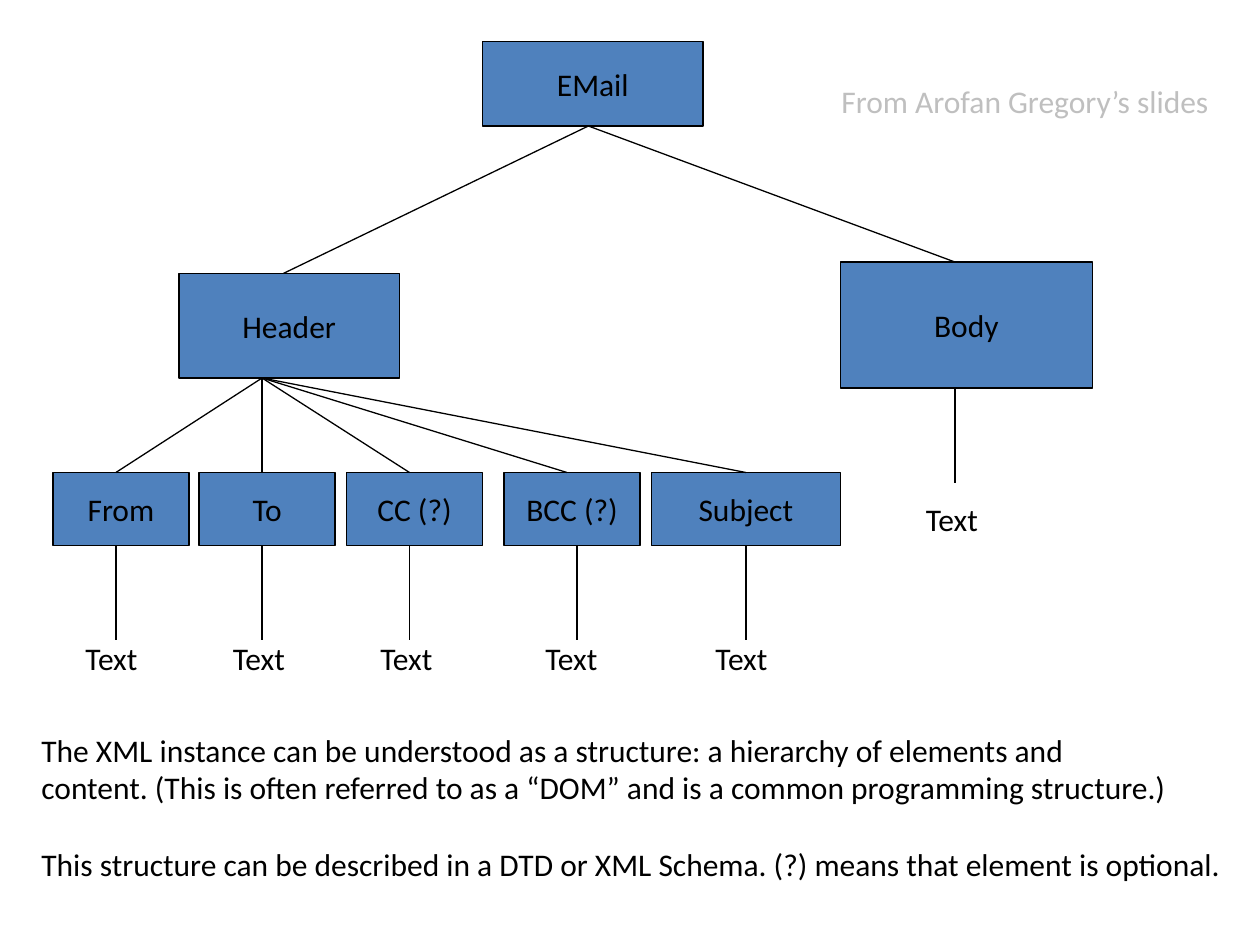
from dataclasses import dataclass

from pptx import Presentation
from pptx.dml.color import RGBColor
from pptx.enum.shapes import MSO_CONNECTOR, MSO_SHAPE
from pptx.enum.text import MSO_ANCHOR, PP_ALIGN
from pptx.oxml.ns import qn
from pptx.util import Inches, Pt
from lxml.etree import SubElement


@dataclass(frozen=True)
class Theme:
    """Colours, type and line sizes of the slide."""
    black: RGBColor = RGBColor(0, 0, 0)
    blue: RGBColor = RGBColor(0x4F, 0x81, 0xBD)
    grey: RGBColor = RGBColor(0xBF, 0xBF, 0xBF)
    font: str = "Calibri"
    text_size: Pt = Pt(18)
    line_width: Pt = Pt(0.75)


theme = Theme()


def write(box, lines, color=theme.black, align=PP_ALIGN.LEFT, wrap=False):
    """Fill a box with one paragraph per line and return its text frame."""
    frame = box.text_frame
    frame.word_wrap = wrap
    for index, line in enumerate(lines):
        para = frame.add_paragraph() if index else frame.paragraphs[0]
        para.alignment = align
        span = para.add_run()
        span.text = line
        span.font.name = theme.font
        span.font.size = theme.text_size
        span.font.color.rgb = color
    return frame


deck = Presentation()
deck.slide_width, deck.slide_height = Inches(10), Inches(7.5)
page = deck.slides.add_slide(deck.slide_layouts[6])

# Tree: element boxes (label, left, top, width, height)
leaf_top, leaf_height, branch_length = 3.75, 0.58, 0.75
leaf_bottom = leaf_top + leaf_height
elements = [
    ("EMail", 3.83, 0.33, 1.75, 0.67),
    ("Header", 1.42, 2.17, 1.75, 0.83),
    ("Body", 6.67, 2.08, 2, 1),
]
# Header children: label, left, width, incoming x, outgoing x, text left
leaves = [
    ("From", 0.42, 1.08, 0.92, 0.92, 0.58),
    ("To", 1.58, 1.08, 2.08, 2.08, 1.75),
    ("CC (?)", 2.75, 1.08, 3.25, 3.25, 2.92),
    ("BCC (?)", 4, 1.08, 4.5, 4.58, 4.23),
    ("Subject", 5.17, 1.5, 5.92, 5.92, 5.58),
]
email_foot, header_foot, body_x = (4.67, 1), (2.08, 3), 7.58
contents = [(7.25, 3.92)]
branches = [
    (email_foot, (2.25, 2.17)),
    (email_foot, (body_x, 2.08)),
    ((body_x, 3.08), (body_x, 3.08 + branch_length)),
]
for label, left, width, head_x, foot_x, text_left in leaves:
    elements.append((label, left, leaf_top, width, leaf_height))
    contents.append((text_left, 5.02))
    branches.append((header_foot, (head_x, leaf_top)))
    branches.append(((foot_x, leaf_bottom), (foot_x, leaf_bottom + branch_length)))

for label, *place in elements:
    box = page.shapes.add_shape(MSO_SHAPE.RECTANGLE, *map(Inches, place))
    box.shadow.inherit = False
    box.fill.solid()
    box.fill.fore_color.rgb = theme.blue
    box.line.color.rgb = theme.black
    box.line.width = theme.line_width
    frame = write(box, [label], align=PP_ALIGN.CENTER)
    frame.vertical_anchor = MSO_ANCHOR.MIDDLE

for left, top in contents:
    box = page.shapes.add_textbox(Inches(left), Inches(top), Inches(0.69), Inches(0.4))
    write(box, ["Text"])

for start, end in branches:
    branch = page.shapes.add_connector(MSO_CONNECTOR.STRAIGHT, *map(Inches, start + end))
    branch.line.color.rgb = theme.black
    branch.line.width = theme.line_width
    SubElement(branch._element.spPr, qn("a:effectLst"))

# Explanation and credit
box = page.shapes.add_textbox(Inches(0.23), Inches(5.75), Inches(9.88), Inches(1.6))
frame = write(box, [
    "The XML instance can be understood as a structure: a hierarchy of elements and ",
    "content. (This is often referred to as a “DOM” and is a common programming structure.)",
    "This structure can be described in a DTD or XML Schema. (?) means that element is optional.",
], wrap=True)
frame.paragraphs[-1].space_before = Pt(22)

box = page.shapes.add_textbox(Inches(6.58), Inches(0.6), Inches(3.2), Inches(0.4))
write(box, ["From Arofan Gregory’s slides"], color=theme.grey, wrap=True)

deck.save("out.pptx")
